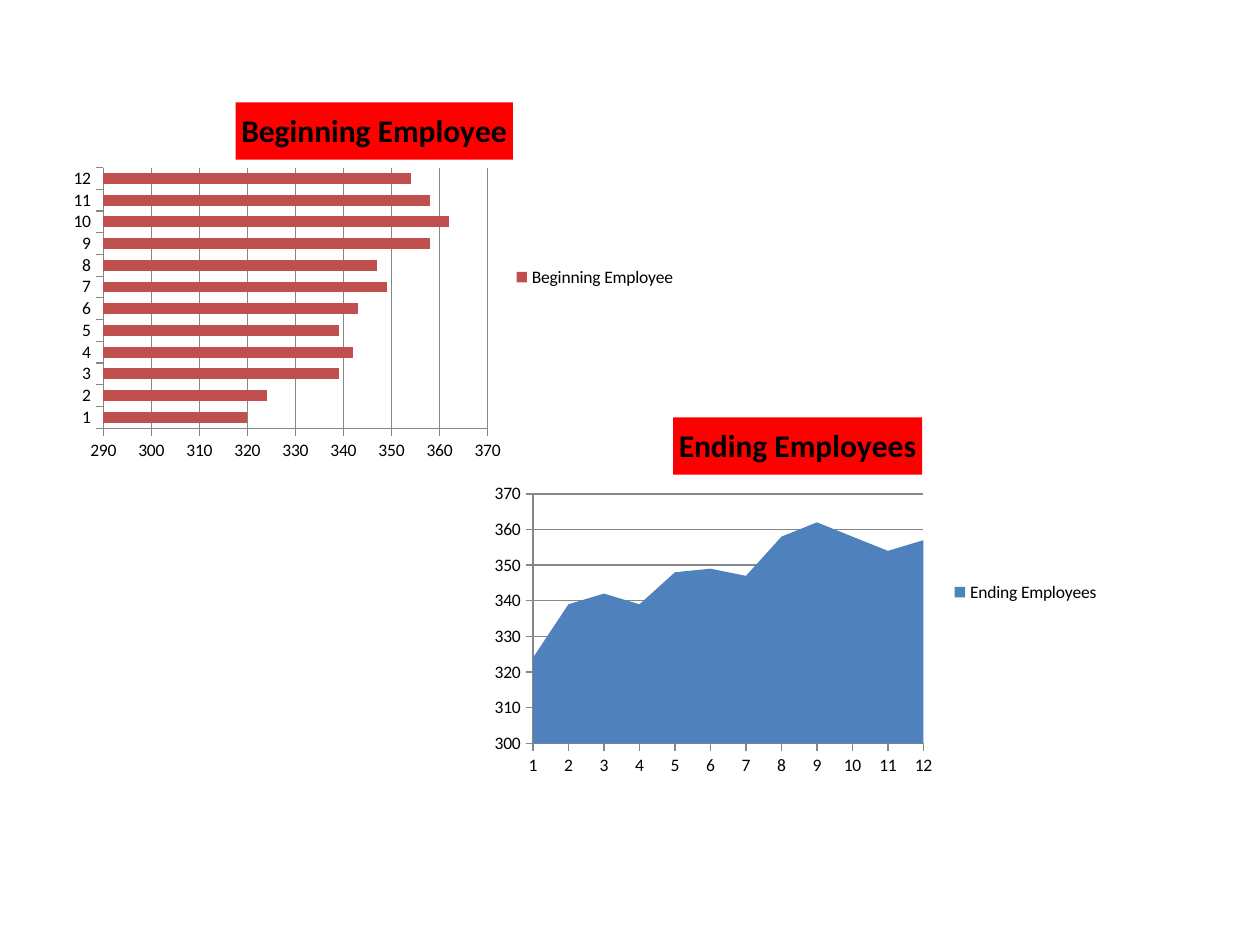
from lxml.etree import SubElement
from pptx import Presentation
from pptx.chart.data import CategoryChartData
from pptx.dml.color import RGBColor
from pptx.enum.chart import XL_CHART_TYPE, XL_LEGEND_POSITION, XL_TICK_MARK
from pptx.oxml.ns import qn
from pptx.util import Inches, Pt

THEME = {
    "font": "Calibri", "text": "000000", "line": "868686", "title_fill": "FF0000",
    "text_size": 10, "title_size": 18, "line_width": 0.75,
}
SIZE = (5, 3)
MONTHS = [str(month) for month in range(1, 13)]
# plot: left, top, width and height as shares of the chart
CHARTS = [
    {"name": "Beginning Employee", "kind": XL_CHART_TYPE.BAR_CLUSTERED,
     "at": (0.47, 0.7), "color": "C0504D", "scale": (290, 370),
     "plot": (0.07, 0.21, 0.61, 0.69),
     "values": [320, 324, 339, 342, 339, 343, 349, 347, 358, 362, 358, 354]},
    {"name": "Ending Employees", "kind": XL_CHART_TYPE.AREA_STACKED,
     "at": (3.83, 3.2), "color": "4F81BD", "scale": (300, 370),
     "plot": (0.08, 0.24, 0.62, 0.66),
     "values": [324, 339, 342, 339, 348, 349, 347, 358, 362, 358, 354, 357]},
]


def rgb(name):
    return RGBColor.from_string(THEME.get(name, name))


def set_font(font, size, bold=False):
    font.name, font.size, font.bold = THEME["font"], Pt(THEME[size]), bold
    font.color.rgb = rgb("text")


def set_line(line):
    line.color.rgb = rgb("line")
    line.width = Pt(THEME["line_width"])


def set_title(chart, text):
    title = chart.chart_title
    title.text_frame.text = text
    set_font(title.text_frame.paragraphs[0].runs[0].font, "title_size", True)
    title.include_in_layout = False
    title.format.fill.solid()
    title.format.fill.fore_color.rgb = rgb("title_fill")


def set_axes(chart, scale):
    for axis in (chart.category_axis, chart.value_axis):
        axis.major_tick_mark = XL_TICK_MARK.OUTSIDE
        axis.minor_tick_mark = XL_TICK_MARK.NONE
        set_line(axis.format.line)
        set_font(axis.tick_labels.font, "text_size")
    chart.category_axis.has_major_gridlines = False
    axis = chart.value_axis
    axis.minimum_scale, axis.maximum_scale = scale
    axis.major_unit = 10
    axis.has_major_gridlines = True
    set_line(axis.major_gridlines.format.line)


def place_plot(chart, box):
    """Fix the inner plot area, without its axis labels."""
    area = chart.element.find(".//" + qn("c:plotArea")) if hasattr(chart, "element") \
        else chart._chartSpace.find(".//" + qn("c:plotArea"))
    for old in area.findall(qn("c:layout")):
        area.remove(old)
    layout = SubElement(area, qn("c:layout"))
    area.insert(0, layout)
    manual = SubElement(layout, qn("c:manualLayout"))
    parts = [("layoutTarget", "inner"), ("xMode", "edge"), ("yMode", "edge")]
    for tag, value in parts + list(zip("xywh", box)):
        SubElement(manual, qn("c:" + tag)).set("val", str(value))


def add_chart(slide, item):
    data = CategoryChartData()
    data.categories = MONTHS
    data.add_series(item["name"], item["values"])
    box = [Inches(n) for n in item["at"] + SIZE]
    chart = slide.shapes.add_chart(item["kind"], *box, data).chart
    set_font(chart.font, "text_size")
    chart.has_legend = True
    chart.legend.position = XL_LEGEND_POSITION.RIGHT
    chart.legend.include_in_layout = False
    set_font(chart.legend.font, "text_size")
    plot = chart.plots[0]
    plot.vary_by_categories = False
    if item["kind"] == XL_CHART_TYPE.BAR_CLUSTERED:
        plot.gap_width = 100
    fill = plot.series[0].format.fill
    fill.solid()
    fill.fore_color.rgb = rgb(item["color"])
    set_title(chart, item["name"])
    set_axes(chart, item["scale"])
    place_plot(chart, item["plot"])


def main():
    deck = Presentation()
    deck.slide_width, deck.slide_height = Inches(10), Inches(7.5)
    slide = deck.slides.add_slide(deck.slide_layouts[6])
    for item in CHARTS:
        add_chart(slide, item)
    deck.save("out.pptx")


if __name__ == "__main__":
    main()
